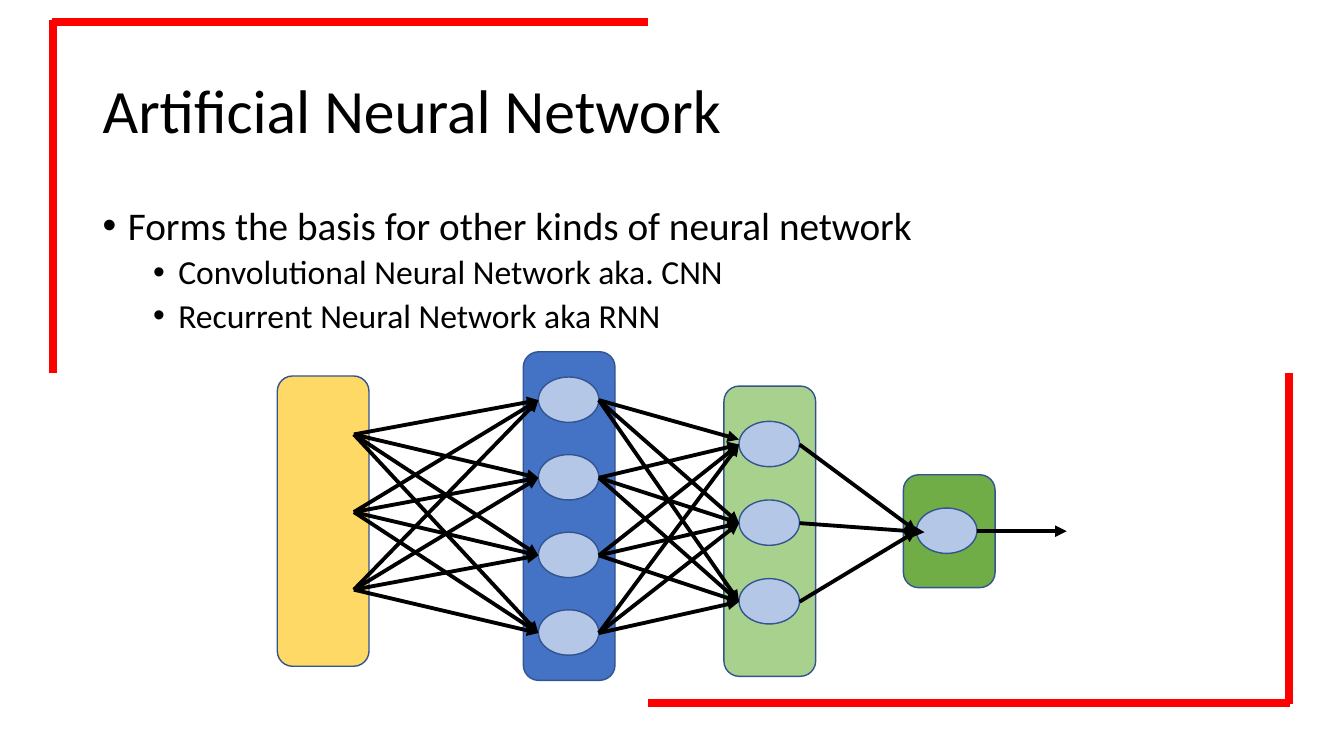
"""Build a slide that shows a layered artificial neural network."""
from itertools import product

from lxml.etree import SubElement
from pptx import Presentation
from pptx.dml.color import RGBColor
from pptx.enum.shapes import MSO_CONNECTOR, MSO_SHAPE
from pptx.enum.text import MSO_ANCHOR
from pptx.oxml.ns import qn
from pptx.util import Emu, Pt

EMU_PER_PX = 9144
COLORS = {
    "text": "000000", "arrow": "000000", "frame": "FF0000", "outline": "325491",
    "node": "B4C7E7", "input": "FFD966", "first": "4472C4",
    "second": "A9D18E", "output": "70AD47",
}
NODE_WIDTH, NODE_HEIGHT = 60, 45
LAYER_WIDTH = 91
LAYERS = [
    {"color": "input", "left": 275, "top": 373, "height": 288},
    {"color": "first", "left": 519, "top": 349, "height": 326,
     "node_left": 534, "node_top": 374, "pitch": 77, "count": 4},
    {"color": "second", "left": 718, "top": 383, "height": 288,
     "node_left": 733, "node_top": 418, "pitch": 78, "count": 3},
    {"color": "output", "left": 896, "top": 471, "height": 112,
     "node_left": 909, "node_top": 504, "pitch": 0, "count": 1},
]
INPUT_POINTS = [(351, 431 + 77 * row) for row in range(3)]
ADJUSTED_ENDS = {
    ((594, 397), (733, 441)): (733, 436),
    ((793, 519), (909, 527)): (917, 528),
}
FRAME = [
    ((52, 22), (643, 22)), ((53, 20), (53, 370)),
    ((1279, 697), (643, 697)), ((1278, 698), (1278, 370)),
]
BULLETS = [
    ("Forms the basis for other kinds of neural network", 28, 25, 0),
    ("Convolutional Neural Network aka. CNN", 24, 75, 5),
    ("Recurrent Neural Network aka RNN", 24, 75, 5),
]


def px(length):
    return Emu(length * EMU_PER_PX)


def rgb(name):
    return RGBColor.from_string(COLORS[name])


def write(para, text, size, color="text", font="Calibri", before=0, indent=None):
    if indent is not None:
        properties = para._p.get_or_add_pPr()
        properties.set("marL", str(px(indent)))
        properties.set("indent", str(px(-25)))
        SubElement(properties, qn("a:buFont"), typeface="Arial")
        SubElement(properties, qn("a:buChar"), char="•")
    para.line_spacing = 0.9
    para.space_before = Pt(before)
    span = para.add_run()
    span.text = text
    span.font.size = Pt(size)
    span.font.name = font
    span.font.color.rgb = rgb(color)


class NetworkSlide:
    def __init__(self, deck):
        self.page = deck.slides.add_slide(deck.slide_layouts[6])
        self.outline_width = Pt(1)

    def text_box(self, left, top, width, height, anchor=MSO_ANCHOR.TOP):
        box = self.page.shapes.add_textbox(px(left), px(top), px(width), px(height))
        box.text_frame.word_wrap = True
        box.text_frame.vertical_anchor = anchor
        return box.text_frame

    def shape(self, kind, color, left, top, width, height):
        shape = self.page.shapes.add_shape(kind, px(left), px(top), px(width), px(height))
        shape.shadow.inherit = False
        shape.fill.solid()
        shape.fill.fore_color.rgb = rgb(color)
        shape.line.color.rgb = rgb("outline")
        shape.line.width = self.outline_width

    def layer(self, color, left, top, height, node_left=0, node_top=0, pitch=0, count=0):
        self.shape(MSO_SHAPE.ROUNDED_RECTANGLE, color, left, top, LAYER_WIDTH, height)
        tops = [node_top + pitch * row for row in range(count)]
        for y in tops:
            self.shape(MSO_SHAPE.OVAL, "node", node_left, y, NODE_WIDTH, NODE_HEIGHT)
        return [(node_left, y + 23) for y in tops]

    def line(self, start, end, color, width, arrow=False):
        line = self.page.shapes.add_connector(
            MSO_CONNECTOR.STRAIGHT, *(px(length) for length in (*start, *end)))
        line.line.color.rgb = rgb(color)
        line.line.width = Pt(width)
        if arrow:
            SubElement(line.line._get_or_add_ln(), qn("a:tailEnd"), type="triangle")
        SubElement(line._element.spPr, qn("a:effectLst"))

    def arrows(self, starts, ends):
        for start, end in product(starts, ends):
            self.line(start, ADJUSTED_ENDS.get((start, end), end), "arrow", 2.75, arrow=True)


def main():
    deck = Presentation()
    deck.slide_width, deck.slide_height = px(1333), px(750)
    slide = NetworkSlide(deck)

    title = slide.text_box(92, 40, 1150, 145, MSO_ANCHOR.MIDDLE)
    write(title.paragraphs[0], "Artificial Neural Network", 44)

    body = slide.text_box(92, 200, 1150, 476)
    for index, (text, size, indent, before) in enumerate(BULLETS):
        para = body.add_paragraph() if index else body.paragraphs[0]
        para.level = 1 if index else 0
        write(para, text, size, before=before, indent=indent)

    node_columns = [slide.layer(**layer) for layer in LAYERS]
    starts = INPUT_POINTS
    for ends in node_columns[1:]:
        slide.arrows(starts, ends)
        starts = [(x + NODE_WIDTH, y) for x, y in ends]
    slide.arrows(starts, [(1058, 527)])

    for start, end in FRAME:
        slide.line(start, end, "frame", 5.75)
    deck.save("out.pptx")


if __name__ == "__main__":
    main()
